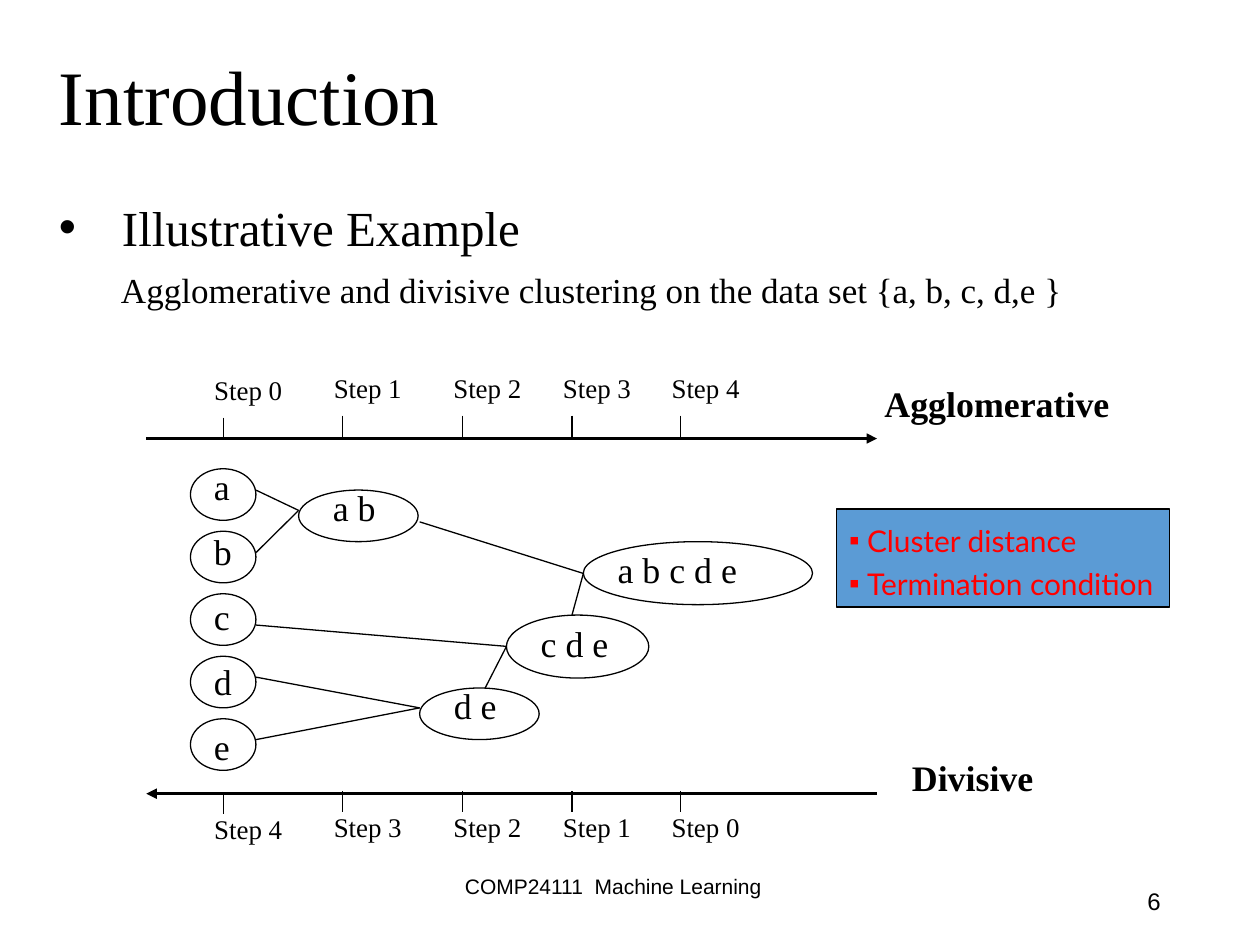
import pptx
import pptx.util
import pptx.dml.color
import pptx.enum.shapes
import pptx.enum.text
import pptx.oxml
import pptx.oxml.ns
from lxml import etree

Cm, Pt = pptx.util.Cm, pptx.util.Pt
ALIGN = pptx.enum.text.PP_ALIGN
ANCHOR = pptx.enum.text.MSO_ANCHOR
SHAPE = pptx.enum.shapes.MSO_SHAPE

HUE = {"ink": "000000", "note": "FF0000", "box": "5B9BD5"}
SERIF = "Times New Roman"
FONT = {
    "title": {"size": Pt(44), "name": SERIF},
    "head": {"size": Pt(28), "name": SERIF},
    "lead": {"size": Pt(20), "name": SERIF},
    "step": {"size": Pt(15.4), "name": SERIF},
    "node": {"size": Pt(20.5), "name": SERIF},
    "mode": {"size": Pt(20.5), "name": SERIF, "bold": True},
    "note": {"size": Pt(17.1), "name": "Lato"},
    "foot": {"size": Pt(12), "name": "Arial"},
    "page": {"size": Pt(13.7), "name": "Arial"},
}

# All lengths below are in centimetres.
TICKS = [4.5, 6.91, 9.32, 11.53, 13.72]
DROP = 0.04  # the first step of each axis sits a little lower
# axis y, tick top, label top, arrow end, step numbers
AXES = [
    (8.84, 8.38, 7.37, "tailEnd", range(5)),
    (16.0, 15.95, 16.21, "headEnd", range(4, -1, -1)),
]
MODES = [("Agglomerative", 17.55, 7.57, 5.1), ("Divisive", 18.11, 15.11, 3.0)]
LEAVES = "abcde"
# text, left, top, width, height, rise of label
MERGES = [
    ("a b", 6.02, 9.88, 2.41, 1.04, 0.22),
    ("d e", 8.46, 13.87, 2.41, 1.04, 0.22),
    ("c d e", 10.21, 12.4, 2.87, 1.27, 0),
    ("a b c d e", 11.76, 10.92, 4.62, 1.27, 0),
]
# meeting point, then the points joined to it
LINKS = [
    ((6.02, 10.29), [(5.16, 9.88), (5.16, 11.14)]),
    ((8.46, 14.27), [(5.16, 13.65), (5.16, 14.91)]),
    ((10.21, 13.03), [(5.16, 12.6), (9.78, 13.87)]),
    ((11.76, 11.56), [(8.46, 10.52), (11.53, 12.4)]),
]
NOTES = ["Cluster distance", "Termination condition"]
BODY = [
    # text, font, space before, left margin, indent, bullet
    ("Illustrative Example", "head", 10, 1.27, -1.27, "•"),
    ("Agglomerative and divisive clustering on the data set {a, b, c, d,e }",
     "lead", 5, 2.34, -1.09, None),
]

deck = pptx.Presentation()
deck.slide_width, deck.slide_height = Cm(25.4), Cm(19.05)
slide = deck.slides.add_slide(deck.slide_layouts[6])


def tint(name):
    return pptx.dml.color.RGBColor.from_string(HUE[name])


def write(para, text, font, hue="ink", **form):
    run = para.add_run()
    run.text = text
    run.font.color.rgb = tint(hue)
    for key, val in FONT[font].items():
        setattr(run.font, key, val)
    for key, val in form.items():
        setattr(para, key, val)


def frame(x, y, w, h, wrap=True, anchor=ANCHOR.TOP):
    box = slide.shapes.add_textbox(Cm(x), Cm(y), Cm(w), Cm(h))
    text = box.text_frame
    text.word_wrap = wrap
    text.vertical_anchor = anchor
    if not wrap:
        text.auto_size = pptx.enum.text.MSO_AUTO_SIZE.SHAPE_TO_FIT_TEXT
    return text


def label(text, font, x, y, w, h, wrap=True, anchor=ANCHOR.TOP, **form):
    box = frame(x, y, w, h, wrap, anchor)
    write(box.paragraphs[0], text, font, **form)


def bullet(para, mark, left, dent):
    """Indent a paragraph and give it a bullet, or none."""
    props = para._p.get_or_add_pPr()
    props.set("marL", str(Cm(left)))
    props.set("indent", str(Cm(dent)))
    if mark:
        name = pptx.oxml.ns.qn("a:buFont")
        etree.SubElement(props, name, typeface="Arial")
        etree.SubElement(props, pptx.oxml.ns.qn("a:buChar"), char=mark)
    else:
        etree.SubElement(props, pptx.oxml.ns.qn("a:buNone"))


def draw(kind, x, y, w, h, fill=None):
    shape = slide.shapes.add_shape(kind, Cm(x), Cm(y), Cm(w), Cm(h))
    shape.shadow.inherit = False
    if fill:
        shape.fill.solid()
        shape.fill.fore_color.rgb = tint(fill)
    else:
        shape.fill.background()
    shape.line.color.rgb = tint("ink")
    shape.line.width = Pt(0.75)


def rule(x1, y1, x2, y2, width=0.75, head=None):
    kind = pptx.enum.shapes.MSO_CONNECTOR.STRAIGHT
    line = slide.shapes.add_connector(kind, Cm(x1), Cm(y1), Cm(x2), Cm(y2))
    line.line.color.rgb = tint("ink")
    line.line.width = Pt(width)
    if head:
        edge = line.line._get_or_add_ln()
        etree.SubElement(edge, pptx.oxml.ns.qn(f"a:{head}"), type="triangle")
    etree.SubElement(line._element.spPr, pptx.oxml.ns.qn("a:effectLst"))


# Title, body and footer
label("Introduction", "title", 0.94, 0.53, 24.46, 3,
      anchor=ANCHOR.MIDDLE, line_spacing=0.9)
body = frame(0.94, 3.73, 23.75, 13.56)
for i, (text, font, gap, left, dent, mark) in enumerate(BODY):
    para = body.add_paragraph() if i else body.paragraphs[0]
    write(para, text, font, line_spacing=1.1, space_before=Pt(gap))
    bullet(para, mark, left, dent)
label("COMP24111  Machine Learning", "foot", 6.55, 17.25, 11.63, 1.24,
      anchor=ANCHOR.MIDDLE, alignment=ALIGN.CENTER)
label("6", "page", 17.93, 17.65, 5.72, 1.02,
      anchor=ANCHOR.MIDDLE, alignment=ALIGN.RIGHT)

# Notes on the blue panel
draw(SHAPE.RECTANGLE, 16.87, 10.26, 6.71, 1.98, "box")
notes = frame(16.87, 10.26, 6.76, 2)
notes.margin_right = 0
for i, text in enumerate(NOTES):
    para = notes.add_paragraph() if i else notes.paragraphs[0]
    write(para, text, "note", "note", line_spacing=1.2)
    bullet(para, "▪", 0.36, -0.36)

# Step axes
for y, top, low, head, steps in AXES:
    rule(2.95, y, 17.68, y, 1.5, head)
    for i, (x, step) in enumerate(zip(TICKS, steps)):
        off = 0 if i else DROP
        rule(x, top + off, x, top + off + 0.42)
        label(f"Step {step}", "step", x - 0.43, low + off, 2.21, 0.91)
for text, x, y, w in MODES:
    label(text, "mode", x, y, w, 1.14, wrap=False, alignment=ALIGN.CENTER)

# Cluster tree
for i, text in enumerate(LEAVES):
    label(text, "node", 4.06, 9.25 + 1.31 * i, 0.86, 1.14, wrap=False)
    draw(SHAPE.OVAL, 3.84, 9.45 + 1.26 * i, 1.32, 1.04)
for text, x, y, w, h, rise in MERGES:
    label(text, "node", x + 0.44, y - rise, w - 0.96, 1.14, wrap=False)
    draw(SHAPE.OVAL, x, y, w, h)
for end, starts in LINKS:
    for start in starts:
        rule(*start, *end)

deck.save("out.pptx")
